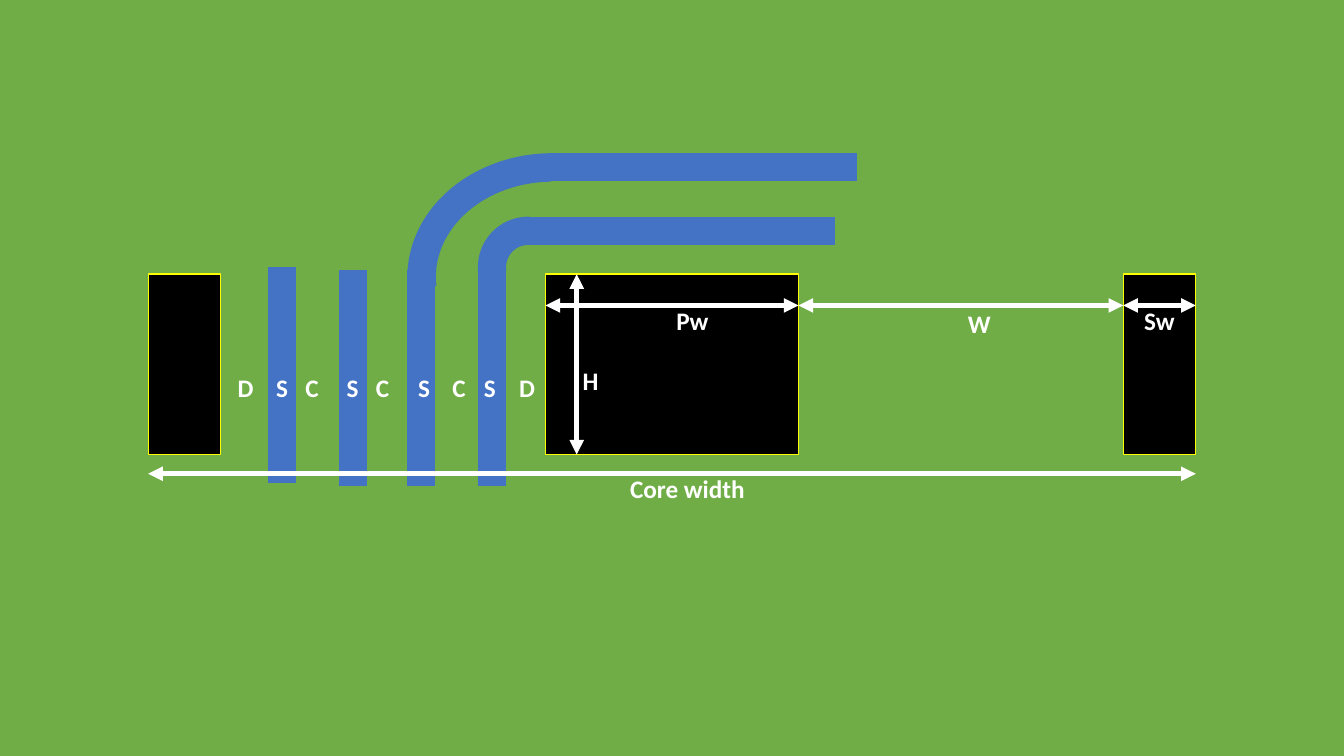
from dataclasses import dataclass

from lxml.etree import SubElement
from pptx import Presentation
from pptx.dml.color import RGBColor
from pptx.enum.shapes import MSO_CONNECTOR as CONN, MSO_SHAPE as SHAPE
from pptx.enum.text import MSO_AUTO_SIZE as FIT
from pptx.oxml.ns import qn
from pptx.util import Inches, Pt

COLS, ROWS = 133.3, 75


@dataclass(frozen=True)
class Theme:
    board: str = "70AD47"
    cutout: str = "000000"
    edge: str = "FFFF00"
    copper: str = "4472C4"
    ink: str = "FFFFFF"
    font: str = "Calibri"
    label: float = 18
    edge_width: float = 1
    arrow_width: float = 3.5
    track_width: float = 20


def write(p, text, *, font, size, color, bold=False):
    r = p.add_run()
    r.text = text
    r.font.name = font
    r.font.size = Pt(size)
    r.font.bold = bold
    r.font.color.rgb = RGBColor.from_string(color)
    return r


class Diagram:
    def __init__(self, prs, theme):
        self.theme = theme
        self.shapes = prs.slides.add_slide(prs.slide_layouts[6]).shapes
        self.col = prs.slide_width / COLS
        self.row = prs.slide_height / ROWS

    def place(self, x, y):
        return round(x * self.col), round(y * self.row)

    def shape(self, kind, x, y, w, h, fill, edge=None):
        s = self.shapes.add_shape(kind, *self.place(x, y), *self.place(w, h))
        s.shadow.inherit = False
        s.fill.solid()
        s.fill.fore_color.rgb = RGBColor.from_string(fill)
        if edge:
            s.line.color.rgb = RGBColor.from_string(edge)
            s.line.width = Pt(self.theme.edge_width)
        else:
            s.line.fill.background()
        return s

    def cutout(self, x, y, w, h):
        self.shape(SHAPE.RECTANGLE, x, y, w, h, self.theme.cutout, self.theme.edge)

    def bend(self, x, y, w, h, start, end, thickness):
        s = self.shape(SHAPE.BLOCK_ARC, x, y, w, h, self.theme.copper)
        for i, value in enumerate((start * 0.6, end * 0.6, thickness)):
            s.adjustments[i] = value

    def line(self, x1, y1, x2, y2, color, width):
        s = self.shapes.add_connector(CONN.STRAIGHT, *self.place(x1, y1), *self.place(x2, y2))
        s.line.color.rgb = RGBColor.from_string(color)
        s.line.width = Pt(width)
        SubElement(s._element.spPr, qn("a:effectLst"))
        return s

    def track(self, x1, y1, x2, y2):
        self.line(x1, y1, x2, y2, self.theme.copper, self.theme.track_width)

    def dimension(self, x1, y1, x2, y2):
        s = self.line(x1, y1, x2, y2, self.theme.ink, self.theme.arrow_width)
        ln = s.line._get_or_add_ln()
        for end in ("a:headEnd", "a:tailEnd"):
            SubElement(ln, qn(end), type="triangle")

    def label(self, text, x, y, w, h=4, tabs=()):
        tf = self.shapes.add_textbox(*self.place(x, y), *self.place(w, h)).text_frame
        tf.word_wrap = True
        tf.auto_size = FIT.SHAPE_TO_FIT_TEXT
        p = tf.paragraphs[0]
        if tabs:
            tab_list = SubElement(p._p.get_or_add_pPr(), qn("a:tabLst"))
            for tab in tabs:
                SubElement(tab_list, qn("a:tab"), pos=str(round(tab * self.col)), algn="l")
        write(p, text, font=self.theme.font, size=self.theme.label,
              color=self.theme.ink, bold=True)


def main():
    prs = Presentation()
    prs.slide_width, prs.slide_height = Inches(13.33), Inches(7.5)
    d = Diagram(prs, Theme())

    left, right, top, bottom = 14.7, 118.6, 27.2, 45.1
    side, post_left, post_right = 7.2, 54.1, 79.2
    side_left = right - side
    height = bottom - top
    width_row = 30.3

    d.shape(SHAPE.RECTANGLE, 0, 0, COLS, ROWS, d.theme.board)
    for x, w in ((post_left, post_right - post_left), (left, side), (side_left, side)):
        d.cutout(x, top, w, height)

    for x, y in ((28, 26.5), (35, 26.8), (41.8, 26.8), (48.8, 26.8)):
        d.track(x, y, x, y + 21.4)
    d.track(82.8, 22.9, 52.4, 22.9)
    d.track(85, 16.6, 54.6, 16.6)
    d.bend(47.4, 21.5, 10, 10, 172.03, 271.29, 0.28)
    d.bend(40.4, 15.2, 28.8, 24.6, 175.64, 269.11, 0.115)

    for x1, x2 in ((post_left, post_right), (post_right, side_left), (side_left, right)):
        d.dimension(x1, width_row, x2, width_row)
    d.dimension(57.2, top, 57.2, bottom)
    d.dimension(left, 47, right, 47)

    for text, x, y, w in (
        ("H", 56.8, 35.8, 3.9),
        ("W", 95, 30.1, 3.9),
        ("Pw", 66.1, 29.8, 6.3),
        ("Sw", 112.5, 29.8, 7.2),
        ("Core width", 61.5, 46.5, 19.8),
    ):
        d.label(text, x, y, w)
    d.label("\t".join("DSCSCSCSD"), 22.6, 36.4, 35.6,
            tabs=(3.8, 6.7, 10.8, 13.7, 17.9, 21.3, 24.4, 27.9))

    prs.save("out.pptx")


if __name__ == "__main__":
    main()
